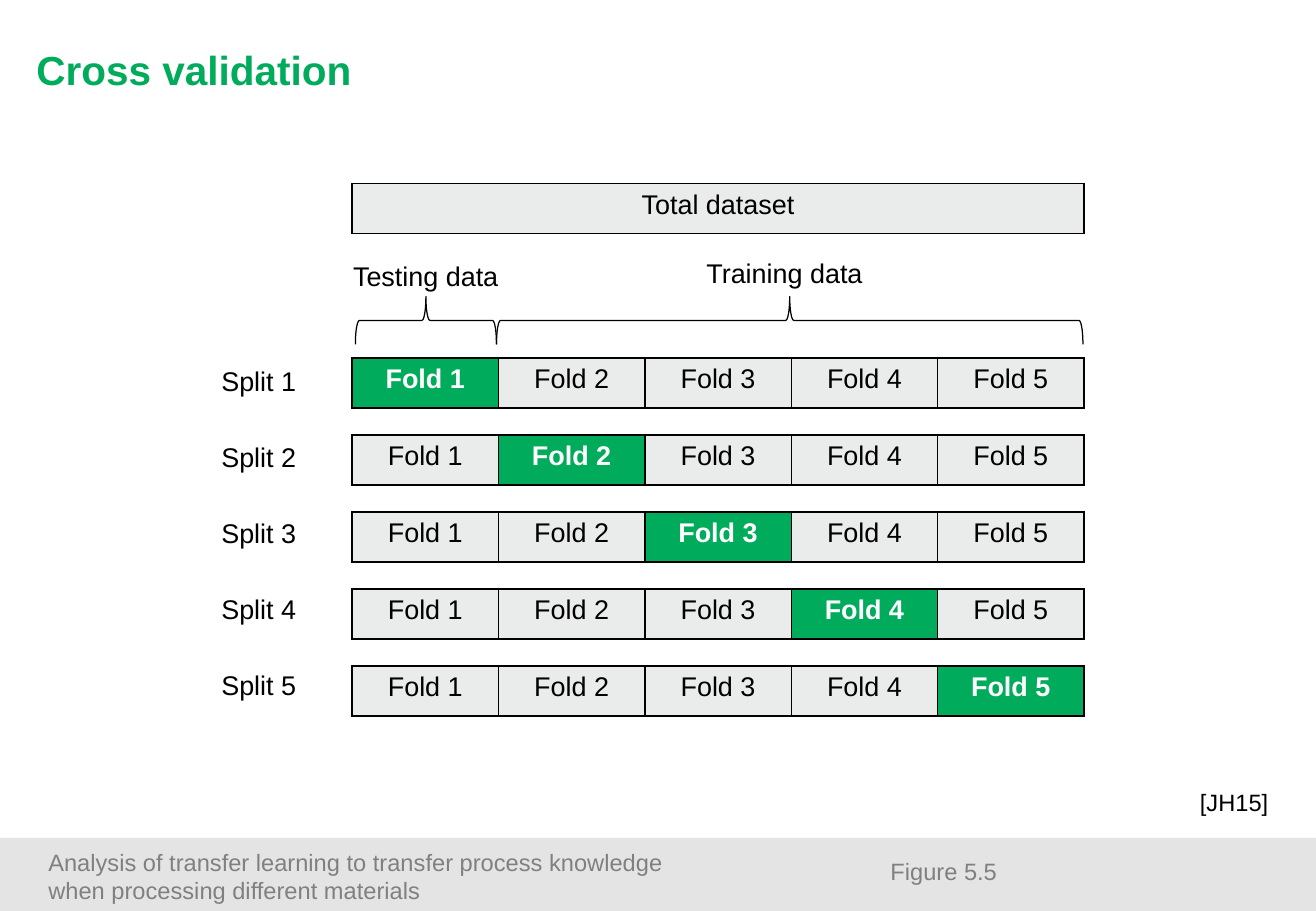
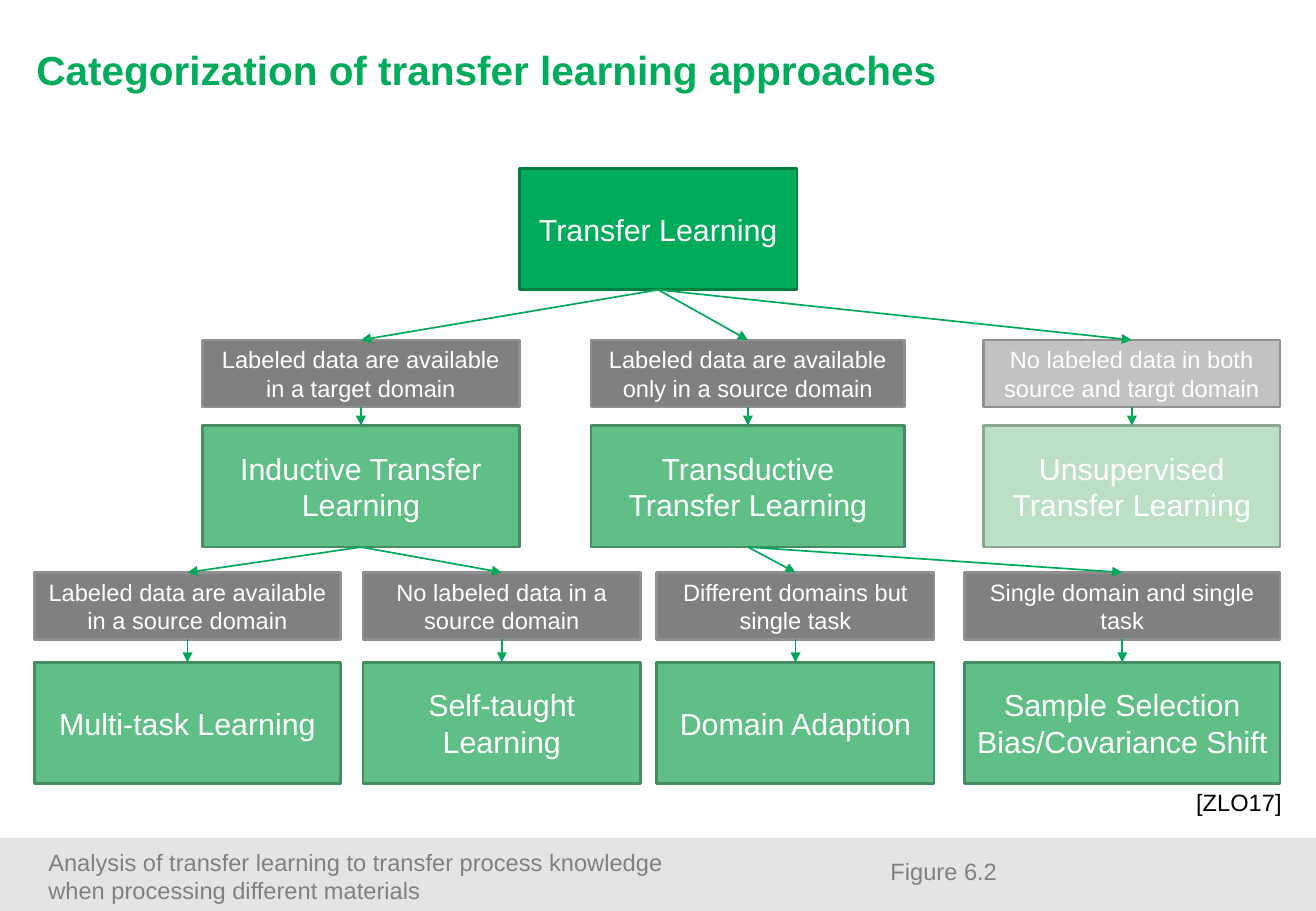
from dataclasses import dataclass
from typing import Optional

from lxml import etree
from pptx import Presentation
from pptx.dml.color import RGBColor
from pptx.enum.shapes import MSO_CONNECTOR, MSO_SHAPE
from pptx.enum.text import MSO_ANCHOR, PP_ALIGN
from pptx.oxml.ns import qn
from pptx.presentation import Presentation as Deck
from pptx.shapes.autoshape import Shape
from pptx.slide import Slide
from pptx.text.text import TextFrame
from pptx.util import Cm, Pt

RECTANGLE = MSO_SHAPE.RECTANGLE
RIGHT_BRACE = MSO_SHAPE.RIGHT_BRACE
STRAIGHT = MSO_CONNECTOR.STRAIGHT
LEFT, CENTER = PP_ALIGN.LEFT, PP_ALIGN.CENTER
TOP, MIDDLE = MSO_ANCHOR.TOP, MSO_ANCHOR.MIDDLE
BLANK_LAYOUT = 6


# Colours and type sizes
@dataclass(frozen=True)
class Theme:
    font: str = "Arial"
    green: str = "00AC5B"
    green_edge: str = "007F43"
    arrow: str = "00A859"
    mid_green: str = "60BF86"
    mid_green_edge: str = "478D63"
    pale_green: str = "BCE0C6"
    pale_green_edge: str = "8BA692"
    gray: str = "808080"
    pale_gray: str = "C2C2C2"
    gray_edge: str = "909090"
    band: str = "E4E4E4"
    cell: str = "EAEBEB"
    black: str = "000000"
    white: str = "FFFFFF"
    title_size: int = 24
    box_size: int = 18
    label_size: int = 16
    small_size: int = 14


THEME = Theme()


@dataclass(frozen=True)
class Style:
    size: int
    color: str
    bold: bool = False
    align: PP_ALIGN = CENTER


TITLE = Style(THEME.title_size, THEME.green, True, LEFT)
FOOTER = Style(THEME.small_size, THEME.gray, align=LEFT)
FIGURE = Style(THEME.small_size, THEME.gray)
CITATION = Style(THEME.small_size, THEME.black)
LABEL = Style(THEME.label_size, THEME.black)
TEST_LABEL = Style(THEME.label_size, THEME.white, True)
BOX_TEXT = Style(THEME.box_size, THEME.white)
CONDITION_TEXT = Style(THEME.small_size, THEME.white)


# All positions are in centimetres
@dataclass(frozen=True)
class Area:
    left: float
    top: float
    width: float
    height: float

    @property
    def center(self) -> float:
        return self.left + self.width / 2

    @property
    def bottom(self) -> float:
        return self.top + self.height

    def lengths(self) -> tuple[Cm, Cm, Cm, Cm]:
        return Cm(self.left), Cm(self.top), Cm(self.width), Cm(self.height)


@dataclass(frozen=True)
class Look:
    fill: str
    edge: str


ROOT_LOOK = Look(THEME.green, THEME.green_edge)
BOX_LOOK = Look(THEME.mid_green, THEME.mid_green_edge)
FADED_BOX_LOOK = Look(THEME.pale_green, THEME.pale_green_edge)
CONDITION_LOOK = Look(THEME.gray, THEME.gray_edge)
FADED_CONDITION_LOOK = Look(THEME.pale_gray, THEME.gray_edge)


@dataclass(frozen=True)
class Branch:
    parent: str
    condition: str
    name: str
    left: float
    width: float
    level: int
    faded: bool = False


WIDTH, HEIGHT = 27.51, 19.05
BAND = Area(0, 17.52, WIDTH, 1.53)
FOOTER_TEXT = ("Analysis of transfer learning to transfer process knowledge\n"
               "when processing different materials")

FOLDS = 5
FOLD_WIDTH, FOLD_HEIGHT = 3.06, 1.04
FOLD_LEFT, FOLD_TOP, FOLD_PITCH = 7.36, 7.49, 1.61
SPLIT_TOP, SPLIT_PITCH = 7.5, 1.59

ROOT_NAME = "Transfer Learning"
BOX_HEIGHT, CONDITION_HEIGHT = 2.54, 1.4
CONDITION_TOPS = (7.11, 11.97)
BOX_TOPS = (8.9, 13.85)
INDUCTIVE = "Inductive Transfer Learning"
TRANSDUCTIVE = "Transductive Transfer Learning"
BRANCHES = (
    Branch(ROOT_NAME, "Labeled data are available in a target domain",
           INDUCTIVE, 4.23, 6.63, 0),
    Branch(ROOT_NAME, "Labeled data are available only in a source domain",
           TRANSDUCTIVE, 12.36, 6.55, 0),
    Branch(ROOT_NAME, "No labeled data in both source and targt domain",
           "Unsupervised Transfer Learning", 20.56, 6.2, 0, True),
    Branch(INDUCTIVE, "Labeled data are available in a source domain",
           "Multi-task Learning", 0.72, 6.4, 1),
    Branch(INDUCTIVE, "No labeled data in a source domain",
           "Self-taught Learning", 7.59, 5.8, 1),
    Branch(TRANSDUCTIVE, "Different domains but single task",
           "Domain Adaption", 13.73, 5.8, 1),
    Branch(TRANSDUCTIVE, "Single domain and single task",
           "Sample Selection Bias/Covariance Shift", 20.16, 6.6, 1),
)


# Drawing helpers
def rgb(color: str) -> RGBColor:
    return RGBColor.from_string(color)


def write(frame: TextFrame, text: str, style: Style) -> None:
    frame.text = text
    for para in frame.paragraphs:
        para.alignment = style.align
        for span in para.runs:
            span.font.name = THEME.font
            span.font.size = Pt(style.size)
            span.font.bold = style.bold
            span.font.color.rgb = rgb(style.color)


def add_text(page: Slide, area: Area, text: str, style: Style,
             inset: Optional[float] = None) -> None:
    frame = page.shapes.add_textbox(*area.lengths()).text_frame
    frame.word_wrap = True
    frame.vertical_anchor = TOP
    if inset is not None:
        frame.margin_left = frame.margin_right = Cm(inset)
        frame.margin_top = frame.margin_bottom = Cm(inset)
    write(frame, text, style)


def add_rectangle(page: Slide, area: Area, fill: str) -> Shape:
    box = page.shapes.add_shape(RECTANGLE, *area.lengths())
    box.shadow.inherit = False
    box.fill.solid()
    box.fill.fore_color.rgb = rgb(fill)
    box.line.fill.background()
    return box


def add_box(page: Slide, area: Area, text: str, look: Look, style: Style) -> None:
    box = add_rectangle(page, area, look.fill)
    box.line.color.rgb = rgb(look.edge)
    box.line.width = Pt(1.5)
    box.text_frame.word_wrap = True
    box.text_frame.vertical_anchor = MIDDLE
    write(box.text_frame, text, style)


def add_arrow(page: Slide, upper: Area, lower: Area) -> None:
    """Join the bottom centre of one box to the top centre of another."""
    arrow = page.shapes.add_connector(
        STRAIGHT, Cm(upper.center), Cm(upper.bottom), Cm(lower.center), Cm(lower.top))
    arrow.line.color.rgb = rgb(THEME.arrow)
    arrow.line.width = Pt(1)
    etree.SubElement(arrow.line._get_or_add_ln(), qn("a:tailEnd"), type="triangle")
    etree.SubElement(arrow._element.spPr, qn("a:effectLst"))


def add_brace(page: Slide, area: Area) -> None:
    """Draw a brace that points up and fills the area."""
    upright = Area(area.center - area.height / 2,
                   area.top + (area.height - area.width) / 2,
                   area.height, area.width)
    brace = page.shapes.add_shape(RIGHT_BRACE, *upright.lengths())
    brace.rotation = 270
    brace.shadow.inherit = False
    brace.fill.background()
    brace.line.color.rgb = rgb(THEME.black)
    brace.line.width = Pt(0.75)


def add_row(page: Slide, top: float, labels: list[str],
            marked: Optional[int] = None) -> None:
    """Draw a one-row table as wide as all folds, with one cell marked."""
    area = Area(FOLD_LEFT, top, FOLDS * FOLD_WIDTH, FOLD_HEIGHT)
    table = page.shapes.add_table(1, len(labels), *area.lengths()).table
    table.first_row = table.horz_banding = False
    for index, label in enumerate(labels):
        table.columns[index].width = Cm(area.width / len(labels))
        cell = table.cell(0, index)
        properties = cell._tc.get_or_add_tcPr()
        for side in ("a:lnL", "a:lnR", "a:lnT", "a:lnB"):
            border = etree.SubElement(properties, qn(side), w=str(Pt(1)))
            solid = etree.SubElement(border, qn("a:solidFill"))
            etree.SubElement(solid, qn("a:srgbClr"), val=THEME.black)
        cell.fill.solid()
        cell.fill.fore_color.rgb = rgb(THEME.green if index == marked else THEME.cell)
        write(cell.text_frame, label, TEST_LABEL if index == marked else LABEL)


def add_page(deck: Deck, title: str, figure: str) -> Slide:
    page = deck.slides.add_slide(deck.slide_layouts[BLANK_LAYOUT])
    add_rectangle(page, BAND, THEME.band)
    add_text(page, Area(0.76, 17.6, 17, 1.4), FOOTER_TEXT, FOOTER)
    add_text(page, Area(18.23, 17.8, 3, 0.94), figure, FIGURE)
    add_text(page, Area(0.76, 0.95, 26, 2), title, TITLE, inset=0)
    return page


# Slides
def build_cross_validation(deck: Deck) -> None:
    page = add_page(deck, "Cross validation", "Figure 5.5")
    add_row(page, 3.84, ["Total dataset"])
    folds = [f"Fold {number + 1}" for number in range(FOLDS)]
    for split in range(FOLDS):
        add_row(page, FOLD_TOP + split * FOLD_PITCH, folds, split)
        label_area = Area(4.37, SPLIT_TOP + split * SPLIT_PITCH, 2.08, 0.94)
        add_text(page, label_area, f"Split {split + 1}", LABEL)

    # Testing and training braces
    add_brace(page, Area(7.43, 6.2, 2.95, 1))
    add_brace(page, Area(10.38, 6.2, 12.26, 1))
    add_text(page, Area(6.9, 5.31, 4, 0.94), "Testing data", LABEL)
    add_text(page, Area(14.4, 5.23, 4, 0.94), "Training data", LABEL)
    add_text(page, Area(24.6, 16.36, 2.4, 0.8), "[JH15]", CITATION)


def build_categorization(deck: Deck) -> None:
    page = add_page(deck, "Categorization of transfer learning approaches", "Figure 6.2")
    root = Area(10.86, 3.52, 5.8, BOX_HEIGHT)
    add_box(page, root, ROOT_NAME, ROOT_LOOK, BOX_TEXT)

    # Each branch is a condition above the approach it leads to
    areas = {ROOT_NAME: root}
    for branch in BRANCHES:
        condition = Area(branch.left, CONDITION_TOPS[branch.level],
                         branch.width, CONDITION_HEIGHT)
        approach = Area(branch.left, BOX_TOPS[branch.level], branch.width, BOX_HEIGHT)
        areas[branch.name] = approach
        add_box(page, condition, branch.condition,
                FADED_CONDITION_LOOK if branch.faded else CONDITION_LOOK, CONDITION_TEXT)
        add_box(page, approach, branch.name,
                FADED_BOX_LOOK if branch.faded else BOX_LOOK, BOX_TEXT)
        add_arrow(page, areas[branch.parent], condition)
        add_arrow(page, condition, approach)
    add_text(page, Area(24.7, 16.36, 2.4, 0.8), "[ZLO17]", CITATION)


def main() -> None:
    deck = Presentation()
    deck.slide_width, deck.slide_height = Cm(WIDTH), Cm(HEIGHT)
    build_cross_validation(deck)
    build_categorization(deck)
    deck.save("out.pptx")


if __name__ == "__main__":
    main()
